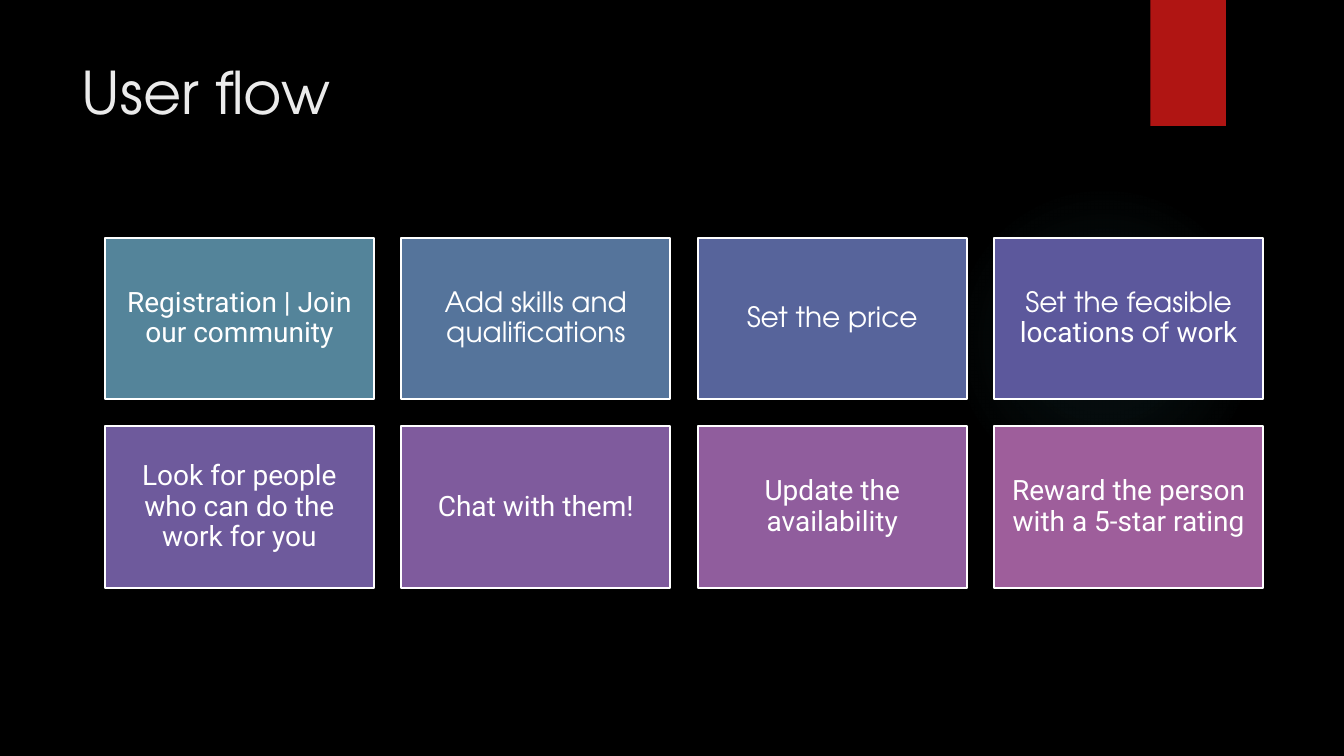
from lxml.etree import SubElement
from pptx import Presentation
from pptx.dml.color import RGBColor
from pptx.enum.shapes import MSO_SHAPE
from pptx.enum.text import MSO_ANCHOR, PP_ALIGN
from pptx.oxml.ns import qn
from pptx.util import Inches, Pt

BLACK = RGBColor(0x00, 0x00, 0x00)
WHITE = RGBColor(0xFF, 0xFF, 0xFF)
TITLE_GREY = RGBColor(0xEB, 0xEB, 0xEB)
RED = RGBColor(0xB0, 0x15, 0x13)
TEAL = RGBColor(0x50, 0xB9, 0xC1)

ADVENTOR = "TeX Gyre Adventor"
ROBOTO = "Roboto"

COLUMNS = 4
LEFT, TOP = 1.04, 2.36
BOX_W, BOX_H = 2.67, 1.6
STEP_X, STEP_Y = 2.94, 1.87

# Each step: fill colour, then its runs as (text, font)
STEPS = [
    (RGBColor(0x54, 0x84, 0x9A), [("Registration | Join our community", ROBOTO)]),
    (RGBColor(0x55, 0x74, 0x9B), [("Add skills and qualifications", ADVENTOR)]),
    (RGBColor(0x57, 0x64, 0x9B), [("Set the price", ADVENTOR)]),
    (RGBColor(0x5C, 0x58, 0x9C), [("Set the feasible ", ADVENTOR), ("locations ", ROBOTO),
                                  ("of ", ADVENTOR), ("work", ROBOTO)]),
    (RGBColor(0x6E, 0x5A, 0x9C), [("Look for people who can do the work for you", ROBOTO)]),
    (RGBColor(0x7F, 0x5B, 0x9D), [("Chat with them!", ROBOTO)]),
    (RGBColor(0x90, 0x5D, 0x9D), [("Update the availability", ROBOTO)]),
    (RGBColor(0x9E, 0x5E, 0x9B), [("Reward the person with a 5-star rating", ROBOTO)]),
]


def add_run(p, text, font, size, color):
    r = p.add_run()
    r.text = text
    r.font.name = font
    r.font.size = Pt(size)
    r.font.color.rgb = color


def add_filled_shape(s, kind, left, top, width, height, color):
    """Add a preset shape with a plain fill, no outline and no shadow."""
    sp = s.shapes.add_shape(kind, Inches(left), Inches(top), Inches(width), Inches(height))
    sp.shadow.inherit = False
    sp.fill.solid()
    sp.fill.fore_color.rgb = color
    sp.line.fill.background()
    return sp


def add_glow(s):
    """Add the faint round glow that fades out from its centre."""
    sp = add_filled_shape(s, MSO_SHAPE.OVAL, 9.41, 1.83, 3.08, 3.08, TEAL)
    solid = sp.element.spPr.find(qn("a:solidFill"))
    grad = solid.makeelement(qn("a:gradFill"), {"rotWithShape": "1"})
    stops = SubElement(grad, qn("a:gsLst"))
    for position, opacity in [(0, 7), (36, 6), (69, 0)]:
        stop = SubElement(stops, qn("a:gs"), pos=str(position * 1000))
        color = SubElement(stop, qn("a:srgbClr"), val=str(TEAL))
        SubElement(color, qn("a:alpha"), val=str(opacity * 1000))
    circle = SubElement(grad, qn("a:path"), {"path": "circle"})
    SubElement(circle, qn("a:fillToRect"), {side: "50000" for side in "ltrb"})
    solid.getparent().replace(solid, grad)


def set_title(s, text):
    title = s.shapes.title
    title.left, title.top = Inches(0.71), Inches(0.5)
    title.width, title.height = Inches(10.29), Inches(1.53)
    tf = title.text_frame
    tf.vertical_anchor = MSO_ANCHOR.TOP
    p = tf.paragraphs[0]
    p.alignment = PP_ALIGN.LEFT
    add_run(p, text, ADVENTOR, 42, TITLE_GREY)


def add_step(s, index, color, runs):
    row, col = divmod(index, COLUMNS)
    sp = add_filled_shape(s, MSO_SHAPE.RECTANGLE, LEFT + col * STEP_X, TOP + row * STEP_Y,
                          BOX_W, BOX_H, color)
    sp.line.color.rgb = WHITE
    sp.line.width = Pt(1.5)
    tf = sp.text_frame
    tf.word_wrap = True
    tf.vertical_anchor = MSO_ANCHOR.MIDDLE
    tf.margin_left = tf.margin_right = tf.margin_top = tf.margin_bottom = Inches(0.08)
    p = tf.paragraphs[0]
    p.alignment = PP_ALIGN.CENTER
    p.line_spacing = 0.9
    for text, font in runs:
        add_run(p, text, font, 20, WHITE)


def main():
    prs = Presentation()
    prs.slide_width, prs.slide_height = Inches(13.33), Inches(7.5)
    s = prs.slides.add_slide(prs.slide_layouts[5])
    s.background.fill.solid()
    s.background.fill.fore_color.rgb = BLACK

    add_glow(s)
    add_filled_shape(s, MSO_SHAPE.RECTANGLE, 11.41, 0, 0.75, 1.25, RED)
    set_title(s, "User flow")
    for index, (color, runs) in enumerate(STEPS):
        add_step(s, index, color, runs)
    prs.save("out.pptx")


if __name__ == "__main__":
    main()
